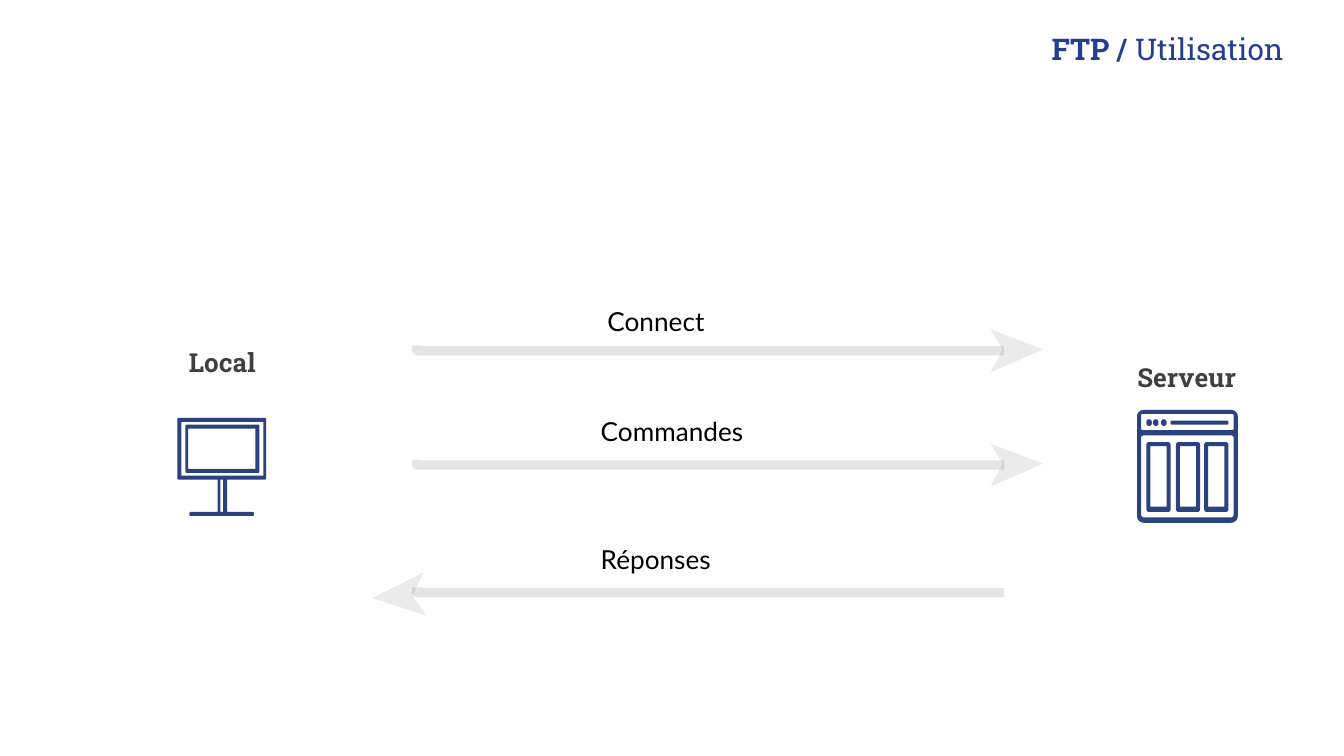
"""Build the FTP usage slide: a local machine and a server exchanging messages."""
from math import cos, pi, sin

from lxml.etree import SubElement
from pptx import Presentation
from pptx.dml.color import RGBColor
from pptx.enum.text import MSO_AUTO_SIZE as AutoSize, PP_ALIGN as Align
from pptx.oxml.ns import qn
from pptx.util import Inches, Pt

THEME = {
    "title": {"name": "Roboto Slab", "size": 16, "color": "263E92"},
    "host": {"name": "Roboto Slab", "size": 14, "color": "3F3F3F"},
    "message": {"name": "Lato", "size": 14, "color": "000000"},
    "monitor": "2B4280",
    "server": "2B4281",
    "head": "EBEBEB",
    "shaft": {"color": "000000", "width": 5, "opacity": 9},
}

SLIDE_WIDTH = 10
ASPECT_RATIO = 16 / 9

TEXTS = [
    ("title", (5, 0.3, 4.55, 0.19), Align.RIGHT, [("FTP / ", True), ("Utilisation", False)]),
    ("host", (0.55, 2.58, 2.21, 0.23), Align.CENTER, [("Local", True)]),
    ("host", (8.15, 2.69, 1.36, 0.23), Align.CENTER, [("Serveur", True)]),
]

RIGHT_HEAD = [(7.76, -0.01), (7.37, 0.16), (7.46, -0.01), (7.37, -0.16)]
LEFT_HEAD = [(2.77, 0.04), (3.15, -0.15), (3.07, 0.02), (3.17, 0.17)]
SHAFT = [(7.47, 0), (3.1, 0), (3.1, -0.04)]
MESSAGES = [
    ("Connect", (4.52, 2.27, 0.96, 0.23), 2.61, RIGHT_HEAD),
    ("Commandes", (4.47, 3.09, 1.36, 0.23), 3.46, RIGHT_HEAD),
    ("Réponses", (4.47, 4.04, 1.36, 0.23), 4.41, LEFT_HEAD),
]

MONITOR = [
    (1.32, 3.11, 1.98, 3.57, 0.01),
    (1.35, 3.14, 1.96, 3.54, 0),
    (1.38, 3.16, 1.93, 3.52, 0.01),
    (1.4, 3.19, 1.9, 3.49, 0),
    (1.62, 3.57, 1.69, 3.81, 0),
    (1.64, 3.57, 1.66, 3.81, 0),
    (1.41, 3.81, 1.89, 3.84, 0.01),
]
SERVER_FRAME = [
    (8.46, 3.05, 9.21, 3.89, 0.05),
    (8.49, 3.08, 9.18, 3.2, 0.01),
    (8.49, 3.24, 9.18, 3.85, 0.02),
    (8.71, 3.13, 9.14, 3.16, 0.01),
]
DOT_LEFTS = [8.53, 8.58, 8.64]
PANEL_LEFTS = [8.53, 8.75, 8.96]


def rounded_box(left, top, right, bottom, radius):
    if not radius:
        return [(left, top), (right, top), (right, bottom), (left, bottom)]
    centers = [
        (right - radius, bottom - radius),
        (left + radius, bottom - radius),
        (left + radius, top + radius),
        (right - radius, top + radius),
    ]
    steps = 6
    return [
        (x + radius * cos(angle), y + radius * sin(angle))
        for corner, (x, y) in enumerate(centers)
        for angle in [(corner + step / steps) * pi / 2 for step in range(steps + 1)]
    ]


def server_boxes():
    dots = [(left, 3.12, left + 0.04, 3.17, 0.02) for left in DOT_LEFTS]
    panels = [(left, 3.29, left + 0.18, 3.81, 0.02) for left in PANEL_LEFTS]
    openings = [(left + 0.03, 3.32, left + 0.15, 3.77, 0) for left in PANEL_LEFTS]
    return SERVER_FRAME + dots + panels + openings


def add_outline(slide, contours, close=True):
    scaled = [[(Inches(x), Inches(y)) for x, y in contour] for contour in contours]
    builder = slide.shapes.build_freeform(*scaled[0][0], scale=1.0)
    for index, (start, *rest) in enumerate(scaled):
        if index:
            builder.move_to(*start)
        builder.add_line_segments(rest, close=close)
    shape = builder.convert_to_shape()
    shape.shadow.inherit = False
    return shape


def add_filled(slide, contours, color):
    shape = add_outline(slide, contours)
    shape.fill.solid()
    shape.fill.fore_color.rgb = RGBColor.from_string(color)
    shape.line.fill.background()


def add_shaft(slide, points):
    shape = add_outline(slide, [points], close=False)
    style = THEME["shaft"]
    shape.fill.background()
    shape.line.width = Pt(style["width"])
    shape.line.color.rgb = RGBColor.from_string(style["color"])
    color = next(shape.element.iter(qn("a:srgbClr")))
    SubElement(color, qn("a:alpha")).set("val", str(style["opacity"] * 1000))


def add_text(slide, role, box, alignment, runs):
    frame = slide.shapes.add_textbox(*map(Inches, box)).text_frame
    layout = {"word_wrap": True, "auto_size": AutoSize.SHAPE_TO_FIT_TEXT}
    layout.update({f"margin_{side}": 0 for side in ("left", "top", "right", "bottom")})
    for name, value in layout.items():
        setattr(frame, name, value)
    paragraph = frame.paragraphs[0]
    paragraph.alignment = alignment
    if role == "title":
        paragraph.line_spacing = 0.7
    style = THEME[role]
    for text, bold in runs:
        run = paragraph.add_run()
        run.text = text
        values = {"name": style["name"], "size": Pt(style["size"]), "bold": bold}
        for name, value in values.items():
            setattr(run.font, name, value)
        run.font.color.rgb = RGBColor.from_string(style["color"])


def main():
    presentation = Presentation()
    presentation.slide_width = Inches(SLIDE_WIDTH)
    presentation.slide_height = Inches(SLIDE_WIDTH / ASPECT_RATIO)
    slide = presentation.slides.add_slide(presentation.slide_layouts[6])
    for text in TEXTS:
        add_text(slide, *text)
    for role, boxes in (("monitor", MONITOR), ("server", server_boxes())):
        add_filled(slide, [rounded_box(*box) for box in boxes], THEME[role])
    for label, box, middle, head in MESSAGES:
        add_filled(slide, [[(x, middle + y) for x, y in head]], THEME["head"])
        add_shaft(slide, [(x, middle + y) for x, y in SHAFT])
        add_text(slide, "message", box, Align.LEFT, [(label, False)])
    presentation.save("out.pptx")


if __name__ == "__main__":
    main()
